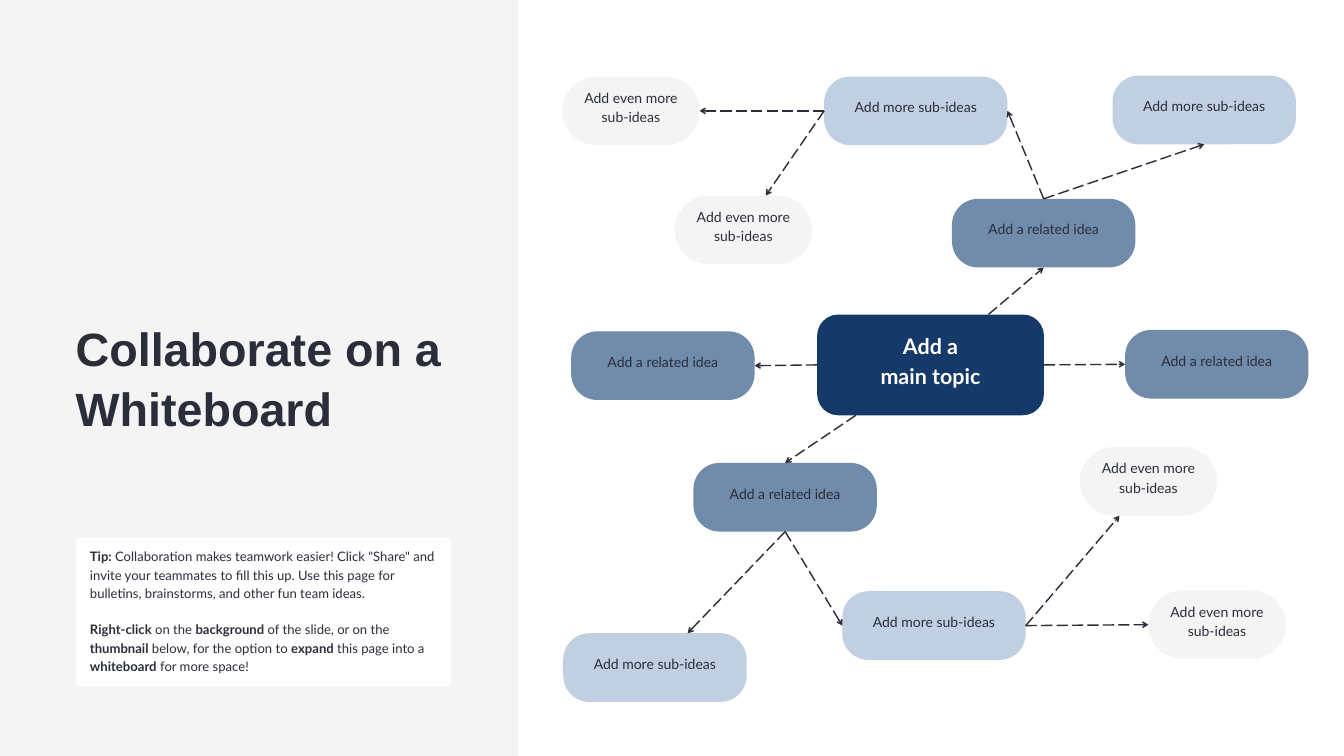
"""Build a mind-map whiteboard slide with a title and tip sidebar."""
from dataclasses import dataclass

from lxml import etree
from pptx import Presentation
from pptx import util as u
from pptx.dml.color import RGBColor
from pptx.enum import dml, shapes, text
from pptx.oxml import ns


@dataclass(frozen=True)
class Theme:
    """Colours, fonts and type sizes of the slide."""

    ink: str = "2A2E3A"
    white: str = "FFFFFF"
    mist: str = "F4F4F4"
    navy: str = "153969"
    steel: str = "718BAB"
    sky: str = "C0CFE1"
    title_font: str = "Arial"
    body_font: str = "Lato"
    title_size: float = 50
    topic_size: float = 23
    node_size: float = 15
    tip_size: float = 14


@dataclass(frozen=True)
class NodeStyle:
    """Look of one level of the mind map."""

    width: float
    height: float
    corner: float
    fill: str
    color: str
    size: float
    bold: bool
    lift: float


THEME = Theme()
STYLES = {
    "topic": NodeStyle(243, 108, 0.21, THEME.navy, THEME.white, THEME.topic_size, True, 14),
    "related": NodeStyle(196.5, 73.6, 0.38, THEME.steel, THEME.ink, THEME.node_size, False, 11),
    "sub": NodeStyle(196.5, 73.6, 0.38, THEME.sky, THEME.ink, THEME.node_size, False, 11),
    "detail": NodeStyle(147, 73.6, 0.5, THEME.mist, THEME.ink, THEME.node_size, False, 10),
}
LABELS = {
    "topic": ["Add a", "main topic"],
    "related": ["Add a related idea"],
    "sub": ["Add more sub-ideas"],
    "detail": ["Add even more sub-ideas"],
}
NODES = {
    "main": ("topic", 875.5, 337),
    "left": ("related", 612, 355),
    "upper": ("related", 1020, 213),
    "lower": ("related", 743, 496),
    "right": ("related", 1205.5, 353.5),
    "upper sub": ("sub", 883, 82),
    "corner sub": ("sub", 1192, 81),
    "lower-left sub": ("sub", 603.5, 678.5),
    "lower sub": ("sub", 902.5, 633.5),
    "upper detail": ("detail", 723, 209.5),
    "corner detail": ("detail", 602.5, 82),
    "lower detail": ("detail", 1157, 479),
    "last detail": ("detail", 1230.5, 632.5),
}
SIDES = ["top", "left", "bottom", "right"]
LINKS = [
    ("main", "right", 0, "right", "left", 0),
    ("main", "top", 62, "upper", "bottom", 0),
    ("main", "bottom", -80, "lower", "top", 0),
    ("main", "left", 0, "left", "right", 0),
    ("upper", "top", 0, "upper sub", "right", 0),
    ("upper", "top", 0, "corner sub", "bottom", 0),
    ("upper sub", "left", 0, "upper detail", "top", 24),
    ("upper sub", "left", 0, "corner detail", "right", 0),
    ("lower", "bottom", 0, "lower-left sub", "top", 35),
    ("lower", "bottom", 0, "lower sub", "left", 0),
    ("lower sub", "right", 0, "lower detail", "bottom", -31),
    ("lower sub", "right", 0, "last detail", "left", 0),
]
TIP = [
    [
        ("Tip: ", True),
        ('Collaboration makes teamwork easier! Click "Share" and invite your teammates to '
         "fill this up. Use this page for bulletins, brainstorms, and other fun team ideas.", False),
    ],
    [
        ("Right-click", True), (" on the ", False),
        ("background", True), (" of the slide, or on the ", False),
        ("thumbnail", True), (" below, for the option to ", False),
        ("expand", True), (" this page into a ", False),
        ("whiteboard", True), (" for more space!", False),
    ],
]


def style_span(span, font, size, color, bold):
    """Format one run."""
    span.font.name = font
    span.font.size = u.Pt(size)
    span.font.color.rgb = RGBColor.from_string(color)
    span.font.bold = bold


def add_panel(page, kind, left, top, width, height, fill):
    """Add a flat filled shape without outline."""
    panel = page.shapes.add_shape(kind, u.Pt(left), u.Pt(top), u.Pt(width), u.Pt(height))
    panel.shadow.inherit = False
    panel.fill.solid()
    panel.fill.fore_color.rgb = RGBColor.from_string(fill)
    panel.line.fill.background()
    return panel


def set_frame(box, side, bottom, anchor):
    """Set wrapping, insets and anchor of a text frame."""
    frame = box.text_frame
    frame.word_wrap = True
    frame.margin_left = frame.margin_right = u.Pt(side)
    frame.margin_top, frame.margin_bottom = 0, u.Pt(bottom)
    frame.vertical_anchor = anchor
    return frame


def add_title(page, words):
    """Place the slide title in its placeholder, in front of the sidebar."""
    box = page.shapes.title
    page.shapes._spTree.append(box._element)
    box.left, box.top, box.width, box.height = (u.Pt(n) for n in (81, 337.5, 402, 130))
    frame = set_frame(box, 0, 0, text.MSO_ANCHOR.TOP)
    frame.text = words
    para = frame.paragraphs[0]
    para.alignment = text.PP_ALIGN.LEFT
    para.line_spacing = u.Pt(65)
    style_span(para.runs[0], THEME.title_font, THEME.title_size, THEME.ink, True)


def add_tip(page):
    """Add the tip card with its mixed bold text."""
    card = add_panel(page, shapes.MSO_SHAPE.ROUNDED_RECTANGLE, 81, 576, 402, 159.5, THEME.white)
    card.adjustments[0] = 0.03
    frame = set_frame(card, 14, 4, text.MSO_ANCHOR.MIDDLE)
    for index, parts in enumerate(TIP):
        para = frame.add_paragraph() if index else frame.paragraphs[0]
        para.alignment = text.PP_ALIGN.LEFT
        para.line_spacing = u.Pt(19.6)
        if index:
            para.space_before = u.Pt(19.6)
        for words, bold in parts:
            span = para.add_run()
            span.text = words
            style_span(span, THEME.body_font, THEME.tip_size, THEME.ink, bold)


def add_node(page, level, left, top):
    """Add one labelled mind-map node."""
    style = STYLES[level]
    node = add_panel(page, shapes.MSO_SHAPE.ROUNDED_RECTANGLE, left, top,
                     style.width, style.height, style.fill)
    node.adjustments[0] = style.corner
    frame = set_frame(node, 9, style.lift, text.MSO_ANCHOR.MIDDLE)
    frame.text = "\n".join(LABELS[level])
    for para in frame.paragraphs:
        para.alignment = text.PP_ALIGN.CENTER
        para.line_spacing = u.Pt(style.size * 1.4)
        style_span(para.runs[0], THEME.body_font, style.size, style.color, style.bold)
    return node


def side_point(node, side, shift):
    """Return the middle of a node's side, moved along it by shift points."""
    across = {"left": 0, "right": 1}.get(side, 0.5)
    down = {"top": 0, "bottom": 1}.get(side, 0.5)
    return int(node.left + node.width * across + u.Pt(shift)), int(node.top + node.height * down)


def add_link(page, source, source_side, source_shift, target, target_side, target_shift):
    """Join two nodes with a dashed arrow, glued where it meets a side's middle."""
    start = side_point(source, source_side, source_shift)
    end = side_point(target, target_side, target_shift)
    link = page.shapes.add_connector(shapes.MSO_CONNECTOR.STRAIGHT, *start, *end)
    if not source_shift:
        link.begin_connect(source, SIDES.index(source_side))
    if not target_shift:
        link.end_connect(target, SIDES.index(target_side))
    link.line.color.rgb = RGBColor.from_string(THEME.ink)
    link.line.width = u.Pt(1.5)
    link.line.dash_style = dml.MSO_LINE.LONG_DASH
    etree.SubElement(link.line._get_or_add_ln(), ns.qn("a:tailEnd"), type="arrow")
    etree.SubElement(link._element.spPr, ns.qn("a:effectLst"))


def main():
    """Build and save the deck."""
    deck = Presentation()
    deck.slide_width, deck.slide_height = u.Pt(1440), u.Pt(810)
    page = deck.slides.add_slide(deck.slide_layouts[5])
    add_panel(page, shapes.MSO_SHAPE.RECTANGLE, 0, 0, 555, 810, THEME.mist)
    add_title(page, "Collaborate on a Whiteboard")
    add_tip(page)
    nodes = {name: add_node(page, *place) for name, place in NODES.items()}
    for source, source_side, source_shift, target, target_side, target_shift in LINKS:
        add_link(page, nodes[source], source_side, source_shift,
                 nodes[target], target_side, target_shift)
    deck.save("out.pptx")


if __name__ == "__main__":
    main()
